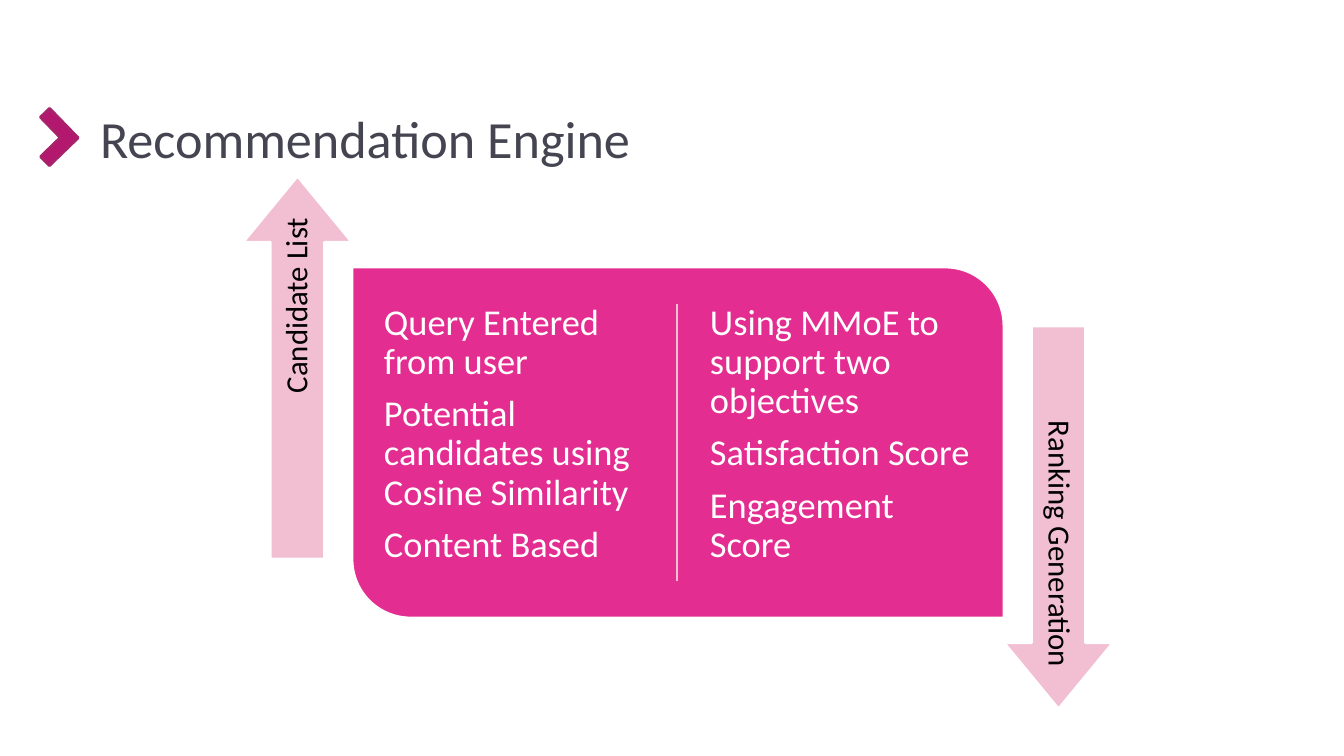
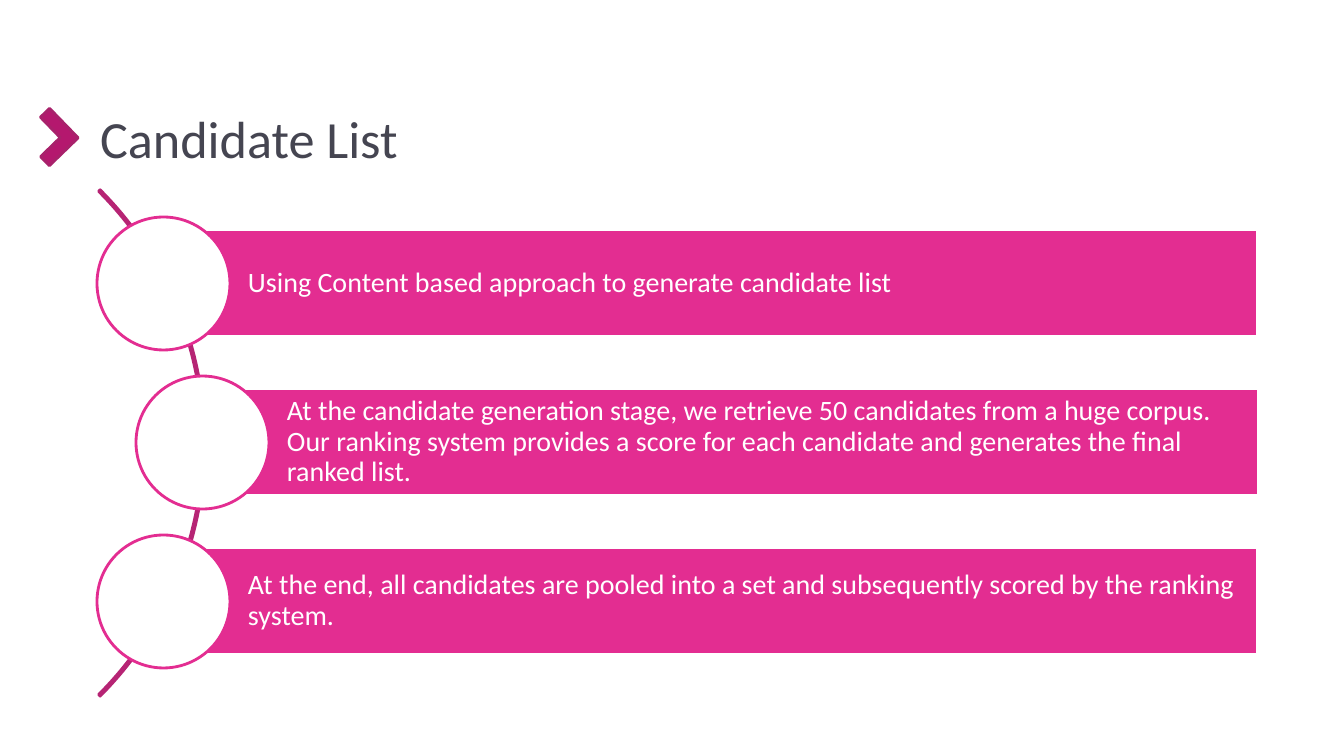
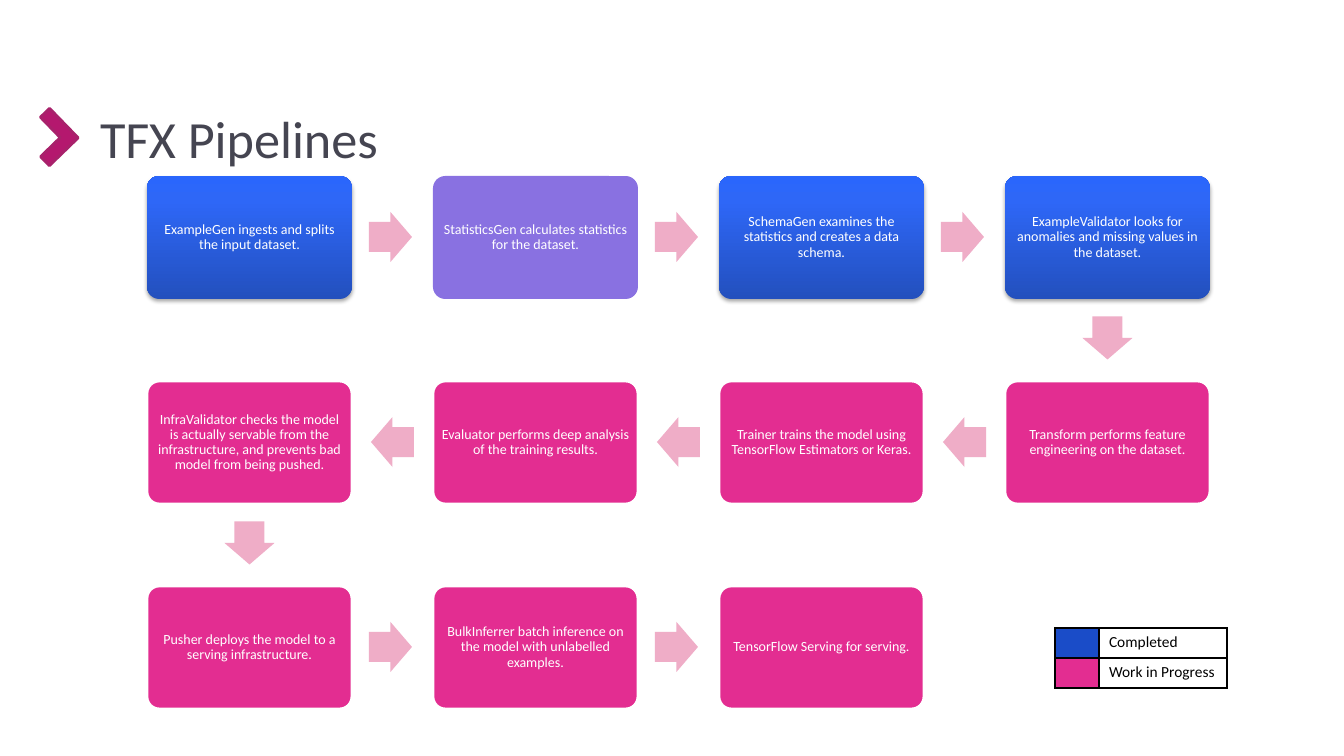
from copy import deepcopy
from typing import NamedTuple

from lxml.etree import SubElement as Sub
from pptx import Presentation
from pptx.dml.color import RGBColor
from pptx.enum.shapes import MSO_CONNECTOR as Link, MSO_SHAPE as Kind
from pptx.enum.text import MSO_ANCHOR as Anchor, PP_ALIGN as Align
from pptx.oxml.ns import qn
from pptx.util import Pt

SCALE = 12192000 / 1344
FONT = "Calibri"

WHITE = RGBColor(0xFF, 0xFF, 0xFF)
BLACK = RGBColor(0x00, 0x00, 0x00)
SLATE = RGBColor(0x45, 0x45, 0x51)
PINK = RGBColor(0xE3, 0x2D, 0x91)
PALE = RGBColor(0xF2, 0xBE, 0xD2)
ROSE = RGBColor(0xEF, 0xAD, 0xC7)
PLUM = RGBColor(0xB4, 0x18, 0x6E)
WINE = RGBColor(0xA8, 0x21, 0x6B)
BERRY = RGBColor(0xB6, 0x24, 0x74)
VIOLET = RGBColor(0x89, 0x71, 0xE1)
BLUE = RGBColor(0x1A, 0x4C, 0xC8)
GLOW = (
    (0, RGBColor(0x23, 0x50, 0xBE)),
    (0.8, RGBColor(0x2E, 0x67, 0xF7)),
    (1, RGBColor(0x2A, 0x66, 0xFC)),
)


class Box(NamedTuple):
    x: int
    y: int
    w: int
    h: int


class Side(NamedTuple):
    x: int
    lines: tuple[str, ...]


class Pointer(NamedTuple):
    text: str
    box: Box
    turn: int


class Point(NamedTuple):
    text: str
    shift: int


class Step(NamedTuple):
    text: str
    fill: RGBColor | None


class Key(NamedTuple):
    text: str
    fill: RGBColor


def px(n: float) -> int:
    return round(n * SCALE)


def place(box: Box) -> list[int]:
    return [px(n) for n in box]


def put(frame, *lines: str, size: float, color=WHITE, align=Align.LEFT,
        anchor=Anchor.MIDDLE, inset=(10, 5, 10, 5), pitch=0.9, after=0.35) -> None:
    frame.word_wrap = True
    frame.vertical_anchor = anchor
    (frame.margin_left, frame.margin_top,
     frame.margin_right, frame.margin_bottom) = [px(n) for n in inset]
    for i, line in enumerate(lines):
        para = frame.paragraphs[0] if i == 0 else frame.add_paragraph()
        para.alignment = align
        para.line_spacing = pitch
        para.space_after = Pt(round(size * after, 1))
        run = para.add_run()
        run.text = line
        run.font.name = FONT
        run.font.size = Pt(size)
        run.font.color.rgb = color


def draw(slide, kind, box: Box, fill=None, line=None, turn: float = 0, adj=()):
    shape = slide.shapes.add_shape(kind, *place(box))
    shape.shadow.inherit = False
    shape.rotation = turn
    for i, value in enumerate(adj):
        shape.adjustments[i] = value
    if fill is None:
        shape.fill.background()
    else:
        shape.fill.solid()
        shape.fill.fore_color.rgb = fill
    if line is None:
        shape.line.fill.background()
    else:
        shape.line.color.rgb = line
        shape.line.width = Pt(2)
    return shape


def shine(shape) -> None:
    fill = shape.fill
    fill.gradient()
    fill.gradient_angle = 90
    props = shape._element.spPr
    stops = props.find(qn("a:gradFill")).find(qn("a:gsLst"))
    stops.append(deepcopy(stops[-1]))
    for stop, (pos, color) in zip(fill.gradient_stops, GLOW):
        stop.position = pos
        stop.color.rgb = color
    shade = Sub(props.find(qn("a:effectLst")), qn("a:outerShdw"),
                blurRad=str(Pt(3.1)), dist=str(Pt(1.8)), dir="5400000",
                algn="ctr", rotWithShape="0")
    Sub(Sub(shade, qn("a:srgbClr"), val=str(BLACK)), qn("a:alpha"), val="35000")


def rule(slide, x: int, top: int, end: int, color: RGBColor) -> None:
    line = slide.shapes.add_connector(Link.STRAIGHT, px(x), px(top), px(x), px(end))
    line.line.color.rgb = color
    line.line.width = Pt(2)
    Sub(line._element.spPr, qn("a:effectLst"))


def start(deck, title: str):
    slide = deck.slides.add_slide(deck.slide_layouts[6])
    draw(slide, Kind.CORNER, Box(29, 117, 41, 40), PLUM, WINE, 225.9, (0.316, 0.315))
    head = slide.shapes.add_textbox(*place(Box(90, 98, 1176, 79)))
    put(head.text_frame, title, size=37.3, color=SLATE, pitch=1, after=0)
    return slide


def engine(deck) -> None:
    slide = start(deck, "Recommendation Engine")
    draw(slide, Kind.ROUND_2_DIAG_RECTANGLE, Box(352, 267, 652, 351), PINK, WHITE,
         adj=(0, 0.167))
    rule(slide, 677, 304, 581, PALE)
    sides = (
        Side(373, ("Query Entered from user",
                   "Potential candidates using Cosine Similarity",
                   "Content Based")),
        Side(699, ("Using MMoE to support two objectives",
                   "Satisfaction Score",
                   "Engagement Score")),
    )
    for side in sides:
        text = slide.shapes.add_textbox(*place(Box(side.x, 293, 284, 297)))
        put(text.text_frame, *side.lines, size=26, anchor=Anchor.TOP, inset=(11,) * 4)
    marks = (
        Pointer("Candidate List", Box(106, 313, 383, 109), 270),
        Pointer("Ranking Generation", Box(867, 463, 383, 109), 90),
    )
    for mark in marks:
        arrow = draw(slide, Kind.RIGHT_ARROW, mark.box, PALE, WHITE, mark.turn,
                     (0.498, 0.607))
        put(arrow.text_frame, mark.text, size=22, color=BLACK, align=Align.RIGHT,
            inset=(9,) * 4)


def listing(deck) -> None:
    slide = start(deck, "Candidate List")
    draw(slide, Kind.BLOCK_ARC, Box(-511, 85, 716, 716), line=BERRY,
         adj=(189, 27, 0.003))
    points = (
        Point("Using Content based approach to generate candidate list", 0),
        Point("At the candidate generation stage, we retrieve 50 candidates from a "
              "huge corpus. Our ranking system provides a score for each candidate "
              "and generates the final ranked list.", 39),
        Point("At the end, all candidates are pooled into a set and subsequently "
              "scored by the ranking system.", 0),
    )
    for i, point in enumerate(points):
        x, y = 97 + point.shift, 217 + 159 * i
        bar = draw(slide, Kind.RECTANGLE, Box(x + 66, y + 13, 1095 - point.shift, 106),
                   PINK, WHITE)
        put(bar.text_frame, point.text, size=20, inset=(85, 6, 6, 6))
        draw(slide, Kind.OVAL, Box(x, y, 133, 133), WHITE, PINK)


def legend(slide, box: Box, keys: tuple[Key, ...]) -> None:
    table = slide.shapes.add_table(len(keys), 2, *place(box)).table
    table.first_row = table.horz_banding = False
    for col, width in zip(table.columns, (44, box.w - 44)):
        col.width = px(width)
    for i, key in enumerate(keys):
        table.rows[i].height = px(box.h / len(keys))
        swatch, label = table.cell(i, 0), table.cell(i, 1)
        for cell in (swatch, label):
            props = cell._tc.get_or_add_tcPr()
            for edge in ("lnL", "lnR", "lnT", "lnB"):
                line = Sub(props, qn("a:" + edge), w=str(Pt(1)))
                Sub(Sub(line, qn("a:solidFill")), qn("a:srgbClr"), val=str(BLACK))
        swatch.fill.solid()
        swatch.fill.fore_color.rgb = key.fill
        Sub(swatch.text_frame.paragraphs[0]._p, qn("a:endParaRPr"), sz="1100")
        label.fill.background()
        run = label.text_frame.paragraphs[0].add_run()
        run.text = key.text
        run.font.name = FONT
        run.font.size = Pt(11)
        run.font.color.rgb = BLACK


def pipeline(deck) -> None:
    slide = start(deck, "TFX Pipelines")
    steps = (
        Step("ExampleGen ingests and splits the input dataset.", None),
        Step("StatisticsGen calculates statistics for the dataset.", VIOLET),
        Step("SchemaGen examines the statistics and creates a data schema.", None),
        Step("ExampleValidator looks for anomalies and missing values in the dataset.",
             None),
        Step("Transform performs feature engineering on the dataset.", PINK),
        Step("Trainer trains the model using TensorFlow Estimators or Keras.", PINK),
        Step("Evaluator performs deep analysis of the training results.", PINK),
        Step("InfraValidator checks the model is actually servable from the "
             "infrastructure, and prevents bad model from being pushed.", PINK),
        Step("Pusher deploys the model to a serving infrastructure.", PINK),
        Step("BulkInferrer batch inference on the model with unlabelled examples.",
             PINK),
        Step("TensorFlow Serving for serving.", PINK),
    )
    for i, step in enumerate(steps):
        row, col = divmod(i, 4)
        back = row % 2 == 1
        x = 147 + 286 * (3 - col if back else col)
        y = 176 + 205 * row
        card = draw(slide, Kind.ROUNDED_RECTANGLE, Box(x, y, 205, 123), step.fill,
                    WHITE if step.fill == PINK else None, adj=(0.1,))
        if step.fill is None:
            shine(card)
        put(card.text_frame, step.text, size=10, align=Align.CENTER, inset=(4,) * 4,
            after=0)
        if i == len(steps) - 1:
            break
        if col == 3:
            left, top, turn = x + 81, y + 137, 90
        elif back:
            left, top, turn = x - 62, y + 36, 180
        else:
            left, top, turn = x + 222, y + 36, 0
        draw(slide, Kind.RIGHT_ARROW, Box(left, top, 43, 50), ROSE, turn=turn,
             adj=(0.6, 0.5))
    legend(slide, Box(1055, 628, 172, 60),
           (Key("Completed", BLUE), Key("Work in Progress", PINK)))


def main() -> None:
    deck = Presentation()
    deck.slide_width, deck.slide_height = px(1344), px(756)
    engine(deck)
    listing(deck)
    pipeline(deck)
    deck.save("out.pptx")


if __name__ == "__main__":
    main()
